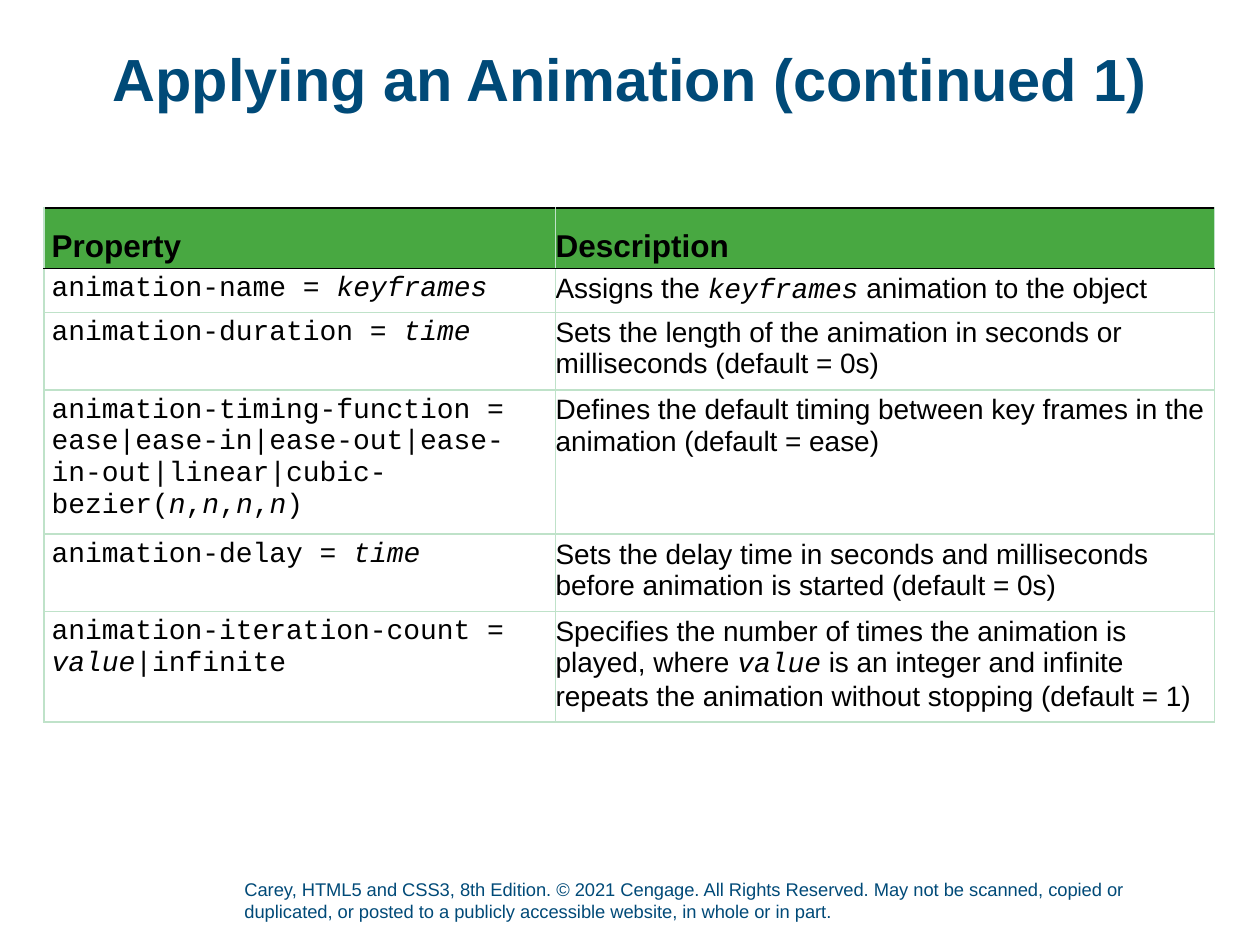
from lxml.etree import SubElement
from pptx import Presentation
from pptx.dml.color import RGBColor
from pptx.enum.text import MSO_ANCHOR, PP_ALIGN
from pptx.oxml import parse_xml
from pptx.oxml.ns import nsdecls, qn
from pptx.util import Inches, Pt

TITLE = "Applying an Animation (continued 1)"
COPYRIGHT = ("Carey, HTML5 and CSS3, 8th Edition. © 2021 Cengage. All Rights Reserved. "
             "May not be scanned, copied or duplicated, or posted to a publicly "
             "accessible website, in whole or in part.")
HEADINGS = ("Property", "Description")
# Asterisks enclose the placeholder values, set in italic code type.
PROPERTIES = [
    ("animation-name = *keyframes*",
     "Assigns the *keyframes* animation to the object"),
    ("animation-duration = *time*",
     "Sets the length of the animation in seconds or milliseconds (default = 0s)"),
    ("animation-timing-function = ease|ease-in|ease-out|ease-in-out|linear|"
     "cubic-bezier(*n*,*n*,*n*,*n*)",
     "Defines the default timing between key frames in the animation (default = ease)"),
    ("animation-delay = *time*",
     "Sets the delay time in seconds and milliseconds before animation is started "
     "(default = 0s)"),
    ("animation-iteration-count = *value*|infinite",
     "Specifies the number of times the animation is played, where *value* is an integer "
     "and infinite repeats the animation without stopping (default = 1)"),
]
COLUMN_WIDTHS = (4.06, 5.23)
ROW_HEIGHTS = (0.46, 0.35, 0.57, 1.09, 0.57, 0.84)
COLUMN_FONTS = ("Courier New", "Arial")
NAVY, GREEN, PALE_GREEN, BLACK, WHITE = "004A78", "48A841", "BFE2C9", "000000", "FFFFFF"


def style(run, size, color, face="Arial", bold=False, italic=False):
    font = run.font
    font.name, font.size, font.bold, font.italic = face, Pt(size), bold, italic
    font.color.rgb = RGBColor.from_string(color)


def set_margins(owner, left, top, right, bottom):
    owner.margin_left, owner.margin_top = Inches(left), Inches(top)
    owner.margin_right, owner.margin_bottom = Inches(right), Inches(bottom)


def set_borders(cell, top, bottom):
    """Draw 1 pt borders; the left and right ones are always pale green."""
    properties = cell._tc.get_or_add_tcPr()
    sides = (("L", PALE_GREEN), ("R", PALE_GREEN), ("T", top), ("B", bottom))
    for position, (side, color) in enumerate(sides):
        line = parse_xml(f'<a:ln{side} {nsdecls("a")} w="{Pt(1)}"/>')
        fill = SubElement(line, qn("a:solidFill"))
        SubElement(fill, qn("a:srgbClr"), val=color)
        properties.insert(position, line)


def fill_cell(cell, row, column, text):
    heading = row == 0
    cell.fill.solid()
    cell.fill.fore_color.rgb = RGBColor.from_string(GREEN if heading else WHITE)
    set_borders(cell, BLACK if row < 2 else PALE_GREEN, BLACK if heading else PALE_GREEN)
    top, bottom = (0.15, 0.03) if heading else (0.04, 0.04)
    set_margins(cell, 0 if column else 0.06, top, 0.06, bottom)
    cell.vertical_anchor = MSO_ANCHOR.BOTTOM if heading else MSO_ANCHOR.TOP
    paragraph = cell.text_frame.paragraphs[0]
    for index, part in enumerate(text.split("*")):
        if not part:
            continue
        run = paragraph.add_run()
        run.text = part
        is_value = index % 2 == 1
        if heading:
            style(run, 18, BLACK, bold=True)
        else:
            face = "Courier New" if is_value else COLUMN_FONTS[column]
            style(run, 16, BLACK, face, italic=is_value)


prs = Presentation()
prs.slide_width, prs.slide_height = Inches(10), Inches(7.5)
slide = prs.slides.add_slide(prs.slide_layouts[5])

footer = slide.shapes.add_textbox(Inches(1.94), Inches(6.97), Inches(7.35), Inches(0.4))
footer_frame = footer.text_frame
footer_frame.word_wrap = True
footer_frame.vertical_anchor = MSO_ANCHOR.BOTTOM
set_margins(footer_frame, 0, 0, 0, 0.05)
footer_frame.text = COPYRIGHT
style(footer_frame.paragraphs[0].runs[0], 10.5, NAVY)

title = slide.shapes.title
title.left, title.top = Inches(0.69), Inches(0.4)
title.width, title.height = Inches(8.62), Inches(0.74)
title_frame = title.text_frame
title_frame.text = TITLE
title_frame.vertical_anchor = MSO_ANCHOR.TOP
set_margins(title_frame, 0, 0, 0, 0)
title_line = title_frame.paragraphs[0]
title_line.alignment, title_line.line_spacing = PP_ALIGN.CENTER, 0.9
style(title_line.runs[0], 34, NAVY, bold=True)

rows = [HEADINGS, *PROPERTIES]
table = slide.shapes.add_table(
    len(rows), len(HEADINGS), Inches(0.35), Inches(1.65),
    Inches(sum(COLUMN_WIDTHS)), Inches(sum(ROW_HEIGHTS))).table
for column, width in zip(table.columns, COLUMN_WIDTHS):
    column.width = Inches(width)
for table_row, height in zip(table.rows, ROW_HEIGHTS):
    table_row.height = Inches(height)
for row, texts in enumerate(rows):
    for column, text in enumerate(texts):
        fill_cell(table.cell(row, column), row, column, text)

prs.save("out.pptx")
